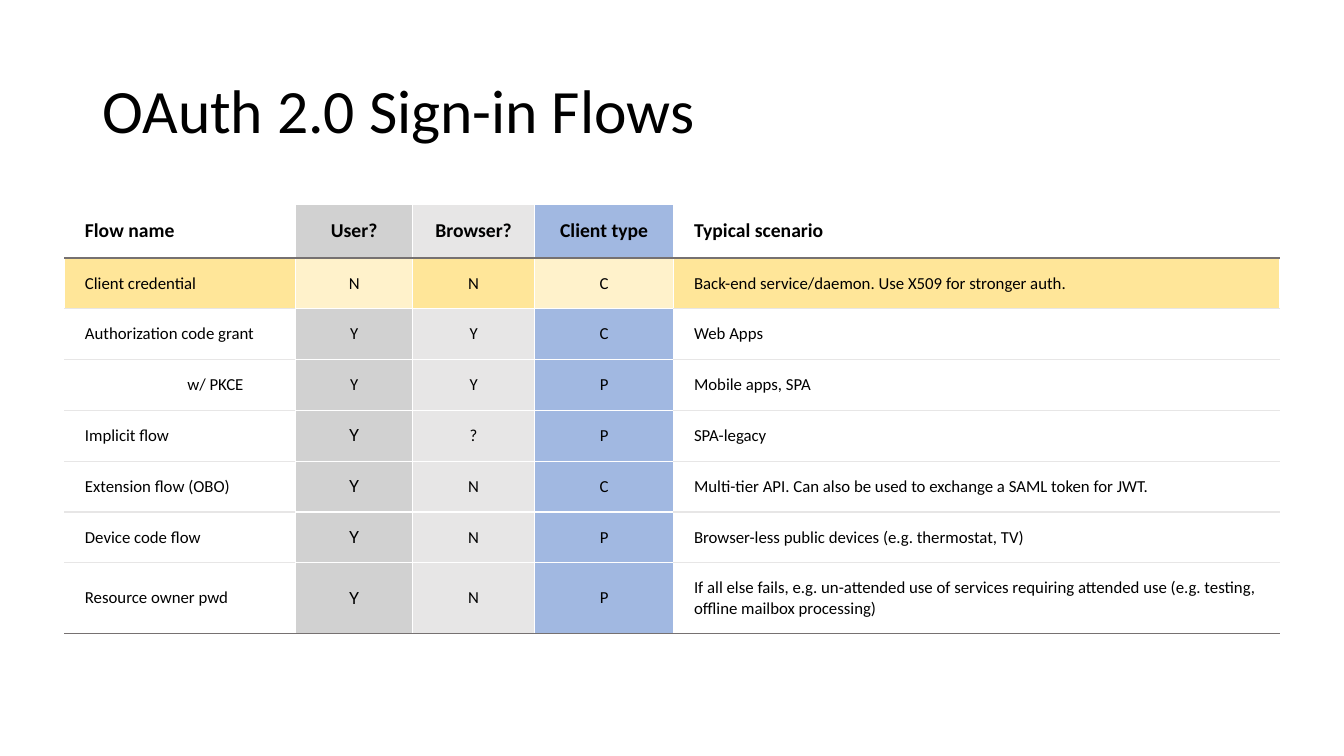
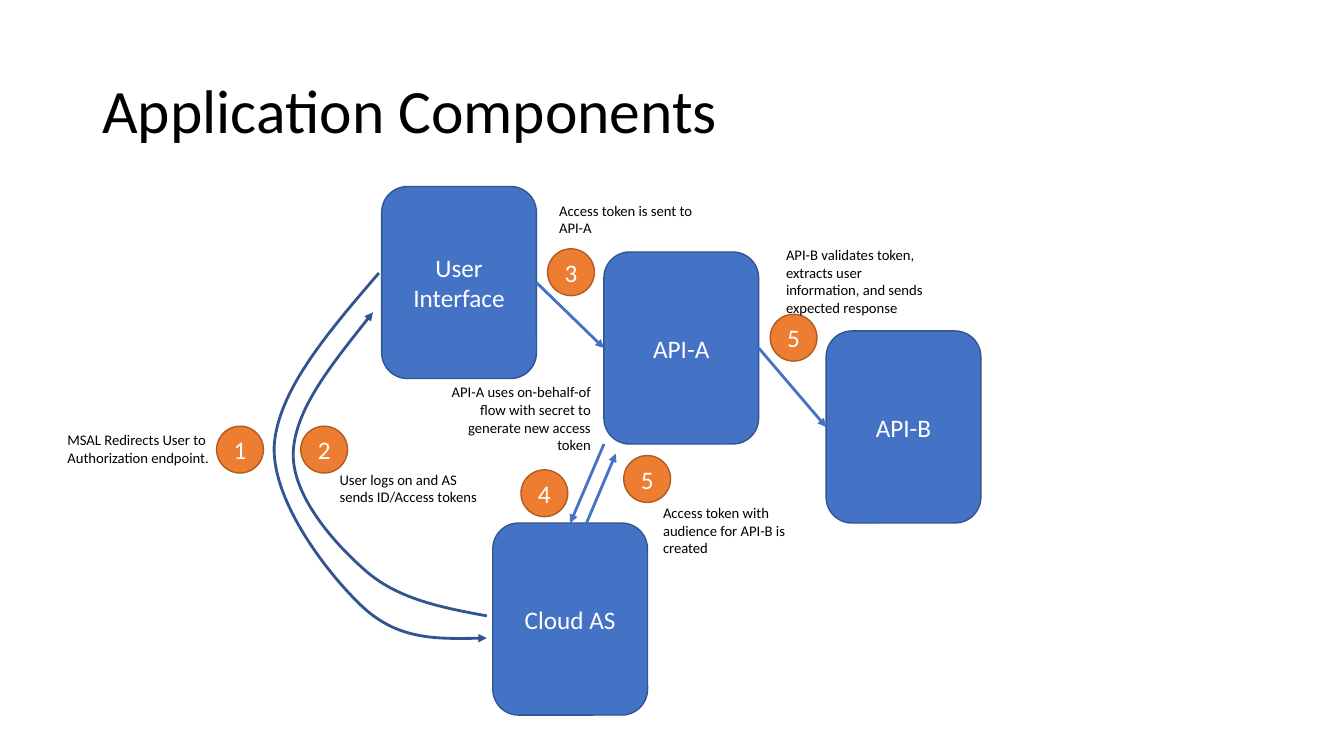
from dataclasses import dataclass

from lxml.etree import SubElement
from pptx import Presentation
from pptx.dml.color import RGBColor
from pptx.enum.shapes import MSO_CONNECTOR, MSO_SHAPE
from pptx.enum.text import MSO_ANCHOR, PP_ALIGN
from pptx.oxml.ns import qn
from pptx.util import Cm, Pt


@dataclass(frozen=True)
class Theme:
    font: str = "Calibri"
    alternate_font: str = "Roboto"
    black: str = "000000"
    white: str = "FFFFFF"
    blue: str = "4472C4"
    dark_blue: str = "325491"
    orange: str = "ED7D31"
    dark_orange: str = "AF5C24"
    grey: str = "A5A5A5"
    light_grey: str = "E7E6E6"
    dark_grey: str = "767171"
    yellow: str = "FFE699"
    title_size: float = 44
    shape_size: float = 18
    header_size: float = 14
    cell_size: float = 12
    label_size: float = 10.5


THEME = Theme()

COLUMN_WIDTHS = (5.82, 2.95, 3.07, 3.51, 15.26)
COLUMN_FILLS = (None, (THEME.grey, 50), (THEME.light_grey, 100), (THEME.blue, 50), None)
HIGHLIGHT_ROW = 1
INDENTED_ROW = 3
FIRST_ALTERNATE_ROW = 4
FLOWS = (
    ("Flow name", "User?", "Browser?", "Client type", "Typical scenario"),
    ("Client credential", "N", "N", "C", "Back-end service/daemon. Use X509 for stronger auth."),
    ("Authorization code grant", "Y", "Y", "C", "Web Apps"),
    ("w/ PKCE", "Y", "Y", "P", "Mobile apps, SPA"),
    ("Implicit flow", "Y", "?", "P", "SPA-legacy"),
    ("Extension flow (OBO)", "Y", "N", "C",
     "Multi-tier API. Can also be used to exchange a SAML token for JWT."),
    ("Device code flow", "Y", "N", "P", "Browser-less public devices (e.g. thermostat, TV)"),
    ("Resource owner pwd", "Y", "N", "P",
     "If all else fails, e.g. un-attended use of services requiring attended use "
     "(e.g. testing, offline mailbox processing)"),
)

COMPONENTS = {
    "User Interface": (9.62, 4.7),
    "API-A": (15.22, 6.35),
    "API-B": (20.82, 8.34),
    "Cloud AS": (12.42, 13.18),
}

# Number, badge position, label, label position, label height
STEPS = (
    ("1", (5.46, 10.74), "MSAL Redirects User to Authorization endpoint.", (1.45, 10.74), 1.14),
    ("2", (7.58, 10.74), "User logs on and AS sends ID/Access tokens", (8.31, 11.73), 1.14),
    ("3", (13.8, 6.27), "Access token is sent to API-A", (13.84, 4.95), 1.14),
    ("4", (13.13, 11.84), "API-A uses on-behalf-of flow with secret to generate new access token",
     (10.82, 9.53), 2.06),
    ("5", (15.72, 11.48), "Access token with audience for API-B is created", (16.46, 12.57), 1.6),
    ("5", (19.41, 7.92), "API-B validates token, extracts user information, and sends "
     "expected response", (19.56, 6.07), 2.06),
)
RIGHT_ALIGNED_STEP = "4"

# Each curve is a start point followed by triples of Bezier points
REDIRECT_CURVE = (
    (9.55, 6.88), (8.26, 8.38), (6.99, 9.86), (6.91, 11.25), (6.86, 12.65),
    (8.28, 14.5), (9.17, 15.32), (10.06, 16.13), (11.15, 16.1), (12.27, 16.08),
)
TOKEN_CURVE = (
    (12.27, 15.52), (11.18, 15.32), (10.08, 15.11), (9.27, 14.43), (8.46, 13.74),
    (7.37, 12.52), (7.39, 11.43), (7.42, 10.34), (8.41, 9.12), (9.4, 7.87),
)


def write_text(frame, text, *, size, color=THEME.black, font=THEME.font, bold=False,
               align=PP_ALIGN.LEFT, anchor=MSO_ANCHOR.TOP, line_spacing=None):
    frame.word_wrap = True
    frame.vertical_anchor = anchor
    paragraph = frame.paragraphs[0]
    paragraph.alignment = align
    paragraph.line_spacing = line_spacing
    run = paragraph.add_run()
    run.text = text
    run.font.name = font
    run.font.size = Pt(size)
    run.font.bold = bold
    run.font.color.rgb = RGBColor.from_string(color)


def add_text_box(slide, text, position, width, height, **text_format):
    left, top = position
    text_box = slide.shapes.add_textbox(Cm(left), Cm(top), Cm(width), Cm(height))
    write_text(text_box.text_frame, text, **text_format)


def add_titled_slide(presentation, title):
    slide = presentation.slides.add_slide(presentation.slide_layouts[6])
    add_text_box(slide, title, (2.33, 1.01), 29.21, 3.68, size=THEME.title_size,
                 anchor=MSO_ANCHOR.MIDDLE, line_spacing=0.9)
    return slide


def add_filled_shape(slide, kind, text, position, size, fill, outline):
    shape = slide.shapes.add_shape(kind, *(Cm(value) for value in position + size))
    shape.shadow.inherit = False
    shape.fill.solid()
    shape.fill.fore_color.rgb = RGBColor.from_string(fill)
    shape.line.color.rgb = RGBColor.from_string(outline)
    shape.line.width = Pt(1)
    write_text(shape.text_frame, text, size=THEME.shape_size, color=THEME.white,
               align=PP_ALIGN.CENTER, anchor=MSO_ANCHOR.MIDDLE)
    return shape


def style_arrow(shape, color):
    """Colour the line, end it with an arrowhead and remove its shadow."""
    shape.line.color.rgb = RGBColor.from_string(color)
    shape.line.width = Pt(2)
    properties = shape.element.spPr
    SubElement(properties.find(qn("a:ln")), qn("a:tailEnd"), type="triangle")
    if properties.find(qn("a:effectLst")) is None:
        SubElement(properties, qn("a:effectLst"))


def add_arrow(slide, start=(0, 0), end=(0, 0), source=None, target=None):
    """Draw an arrow; source and target are (shape, side) pairs to join."""
    connector = slide.shapes.add_connector(
        MSO_CONNECTOR.STRAIGHT, *(Cm(value) for value in start + end))
    if source:
        connector.begin_connect(*source)
    if target:
        connector.end_connect(*target)
    style_arrow(connector, THEME.blue)


def add_curved_arrow(slide, points):
    """Draw an open outline, then turn each three segments into one Bezier curve."""
    start, *others = [(Cm(x), Cm(y)) for x, y in points]
    builder = slide.shapes.build_freeform(*start)
    builder.add_line_segments(others, close=False)
    curve = builder.convert_to_shape()
    curve.shadow.inherit = False
    curve.fill.background()
    style_arrow(curve, THEME.dark_blue)
    outline = next(curve.element.iter(qn("a:path")))
    segments = outline.findall(qn("a:lnTo"))
    for index in range(0, len(segments), 3):
        bezier = SubElement(outline, qn("a:cubicBezTo"))
        for segment in segments[index:index + 3]:
            bezier.append(segment[0])
            outline.remove(segment)


def fill_cell(cell, fill):
    if fill is None:
        cell.fill.background()
        return
    color, opacity = fill
    cell.fill.solid()
    cell.fill.fore_color.rgb = RGBColor.from_string(color)
    if opacity < 100:
        color_element = next(cell._tc.tcPr.iter(qn("a:srgbClr")))
        SubElement(color_element, qn("a:alpha"), val=str(opacity * 1000))


def set_borders(cell, top, bottom):
    properties = cell._tc.get_or_add_tcPr()
    sides = (("L", THEME.white), ("R", THEME.white), ("T", top), ("B", bottom))
    for index, (side, color) in enumerate(sides):
        line = SubElement(properties, qn(f"a:ln{side}"), w=str(Pt(1)))
        SubElement(SubElement(line, qn("a:solidFill")), qn("a:srgbClr"), val=color)
        properties.insert(index, line)


def rule_color(boundary, column):
    """Colour of the rule above row number boundary."""
    if boundary == 0:
        return THEME.white
    if boundary in (1, len(FLOWS)):
        return THEME.dark_grey
    return THEME.light_grey if COLUMN_FILLS[column] is None else THEME.white


def cell_fill(row, column):
    if row == HIGHLIGHT_ROW:
        return THEME.yellow, 50 if column in (1, 3) else 100
    return COLUMN_FILLS[column]


def format_cell(cell, text, row, column):
    is_header = row == 0
    cell.margin_left = cell.margin_right = Cm(0.51)
    cell.margin_top = cell.margin_bottom = Cm(0.38)
    if (row, column) == (INDENTED_ROW, 0):
        cell.margin_left = Cm(3.09)
    is_alternate = column == 1 and row >= FIRST_ALTERNATE_ROW
    write_text(cell.text_frame, text, bold=is_header,
               size=THEME.header_size if is_header else THEME.cell_size,
               font=THEME.alternate_font if is_alternate else THEME.font,
               align=PP_ALIGN.CENTER if column in (1, 2, 3) else PP_ALIGN.LEFT)
    cell.vertical_anchor = MSO_ANCHOR.TOP if is_header else MSO_ANCHOR.MIDDLE
    fill_cell(cell, cell_fill(row, column))
    set_borders(cell, rule_color(row, column), rule_color(row + 1, column))


def add_flow_table(slide):
    row_heights = [1.36] + [1.28] * (len(FLOWS) - 2) + [1.79]
    table = slide.shapes.add_table(
        len(FLOWS), len(COLUMN_WIDTHS), Cm(1.63), Cm(5.14),
        Cm(sum(COLUMN_WIDTHS)), Cm(sum(row_heights))).table
    table.first_row = table.horz_banding = False
    for column, width in zip(table.columns, COLUMN_WIDTHS):
        column.width = Cm(width)
    for row, (height, texts) in enumerate(zip(row_heights, FLOWS)):
        table.rows[row].height = Cm(height)
        for column, text in enumerate(texts):
            format_cell(table.cell(row, column), text, row, column)


def add_component_diagram(slide):
    boxes = {
        name: add_filled_shape(slide, MSO_SHAPE.ROUNDED_RECTANGLE, name, position,
                               (3.9, 4.84), THEME.blue, THEME.dark_blue)
        for name, position in COMPONENTS.items()
    }
    for curve in (REDIRECT_CURVE, TOKEN_CURVE):
        add_curved_arrow(slide, curve)
    add_arrow(slide, source=(boxes["User Interface"], 3), target=(boxes["API-A"], 1))
    add_arrow(slide, source=(boxes["API-A"], 3), target=(boxes["API-B"], 1))
    add_arrow(slide, start=(15.22, 11.19), target=(boxes["Cloud AS"], 0))
    add_arrow(slide, start=(14.78, 13.18), end=(15.52, 11.43))
    for number, badge_position, label, label_position, height in STEPS:
        add_filled_shape(slide, MSO_SHAPE.OVAL, number, badge_position, (1.18, 1.18),
                         THEME.orange, THEME.dark_orange)
        align = PP_ALIGN.RIGHT if number == RIGHT_ALIGNED_STEP else PP_ALIGN.LEFT
        add_text_box(slide, label, label_position, 4.32, height,
                     size=THEME.label_size, align=align)


def main():
    presentation = Presentation()
    presentation.slide_width = Cm(33.87)
    presentation.slide_height = Cm(19.05)
    add_flow_table(add_titled_slide(presentation, "OAuth 2.0 Sign-in Flows"))
    add_component_diagram(add_titled_slide(presentation, "Application Components"))
    presentation.save("out.pptx")


if __name__ == "__main__":
    main()
